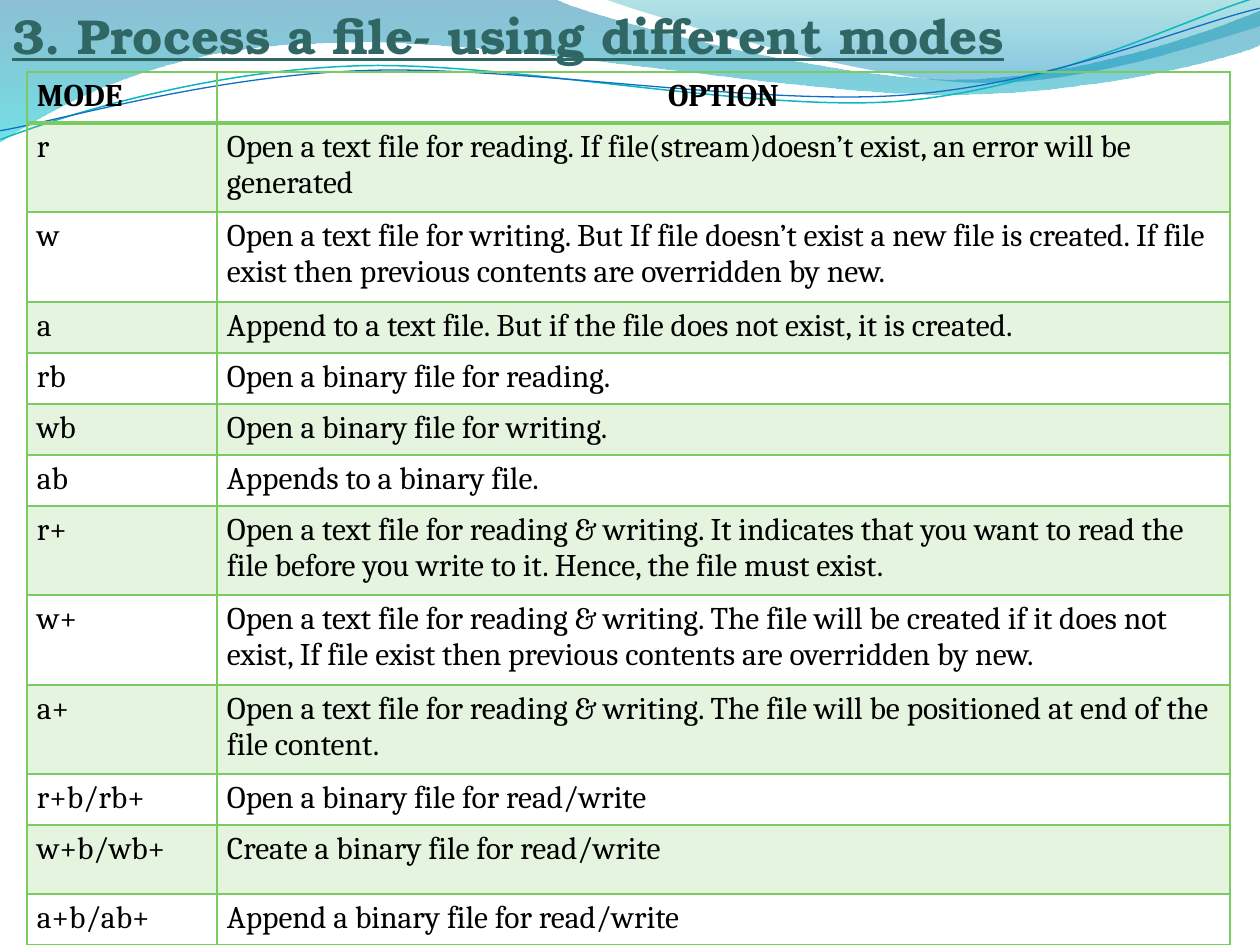
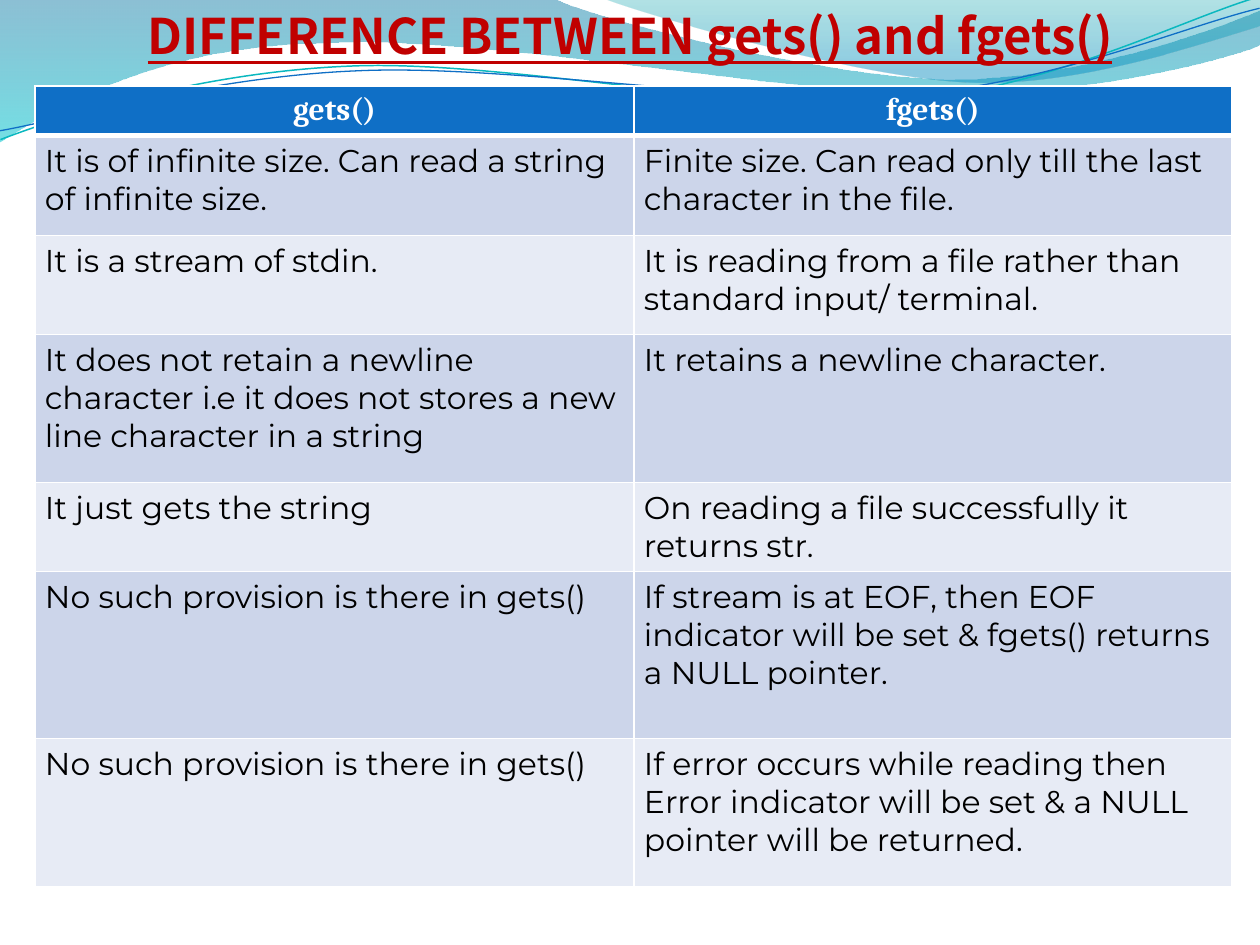
from pptx import Presentation
from pptx.dml.color import RGBColor
from pptx.enum.text import MSO_ANCHOR as Anchor, PP_ALIGN as Align
from pptx.oxml.ns import qn
from pptx.oxml.xmlchemy import OxmlElement as new_element
from pptx.util import Pt

EMU_PER_PX = 914400 / 126
SLIDE_WIDTH, SLIDE_HEIGHT = 1260, 945
BLACK, WHITE = "000000", "FFFFFF"
BLUE, GREEN, RED, TEAL = "0F6FC6", "7CCA62", "C00000", "306663"
BAND_COLORS = ("CCD5EA", "E7EBF5")

# A path is a start point, then one point per straight line or three per curve.
BANDS = [
    ([[(0, 0)], [(554, -1)],
      [(600, 21), (837, 79), (955, 79)], [(1075, 79), (1207, 33), (1260, 11)],
      [(1261, 45)],
      [(1240, 55), (1096, 96), (940, 94)], [(784, 94), (481, 35), (324, 43)],
      [(163, 45), (58, 105), (-1, 142)], [(0, 0)]],
     [(0, "0074A1", 45), (1, "00C6CF", 55)]),
    ([[(604, -1)],
      [(641, 14), (859, 78), (969, 82)], [(1079, 87), (1212, 40), (1260, 26)],
      [(1260, 0)], [(604, -1)]],
     [(0, "00A1A9", 30), (0.8, "008BBF", 45)]),
]
WAVE_ROTATION = 357.3
WAVE_LINES = [
    ([[(-2, 110)], [(58, 90), (199, 52), (350, 53)],
      [(499, 53), (745, 118), (896, 114)], [(1049, 109), (1185, 45), (1260, 27)]],
     "0AB8BF", 0.85),
    ([[(-2, 101)], [(57, 94), (207, 57), (357, 58)],
      [(509, 58), (750, 112), (902, 108)], [(1052, 104), (1187, 52), (1262, 38)]],
     BLUE, 0.75),
]

SHORT, TALL = 51, 89
MODES = [
    ("MODE", "OPTION", SHORT),
    ("r", "Open a text file for reading. If file(stream)doesn’t exist, an error will be generated", TALL),
    ("w", "Open a text file for writing. But If file doesn’t exist a new file is created. "
          "If file exist then previous contents are overridden by new.", TALL + 1),
    ("a", "Append to a text file. But if the file does not exist, it is created.", SHORT),
    ("rb", "Open a binary file for reading.", SHORT),
    ("wb", "Open a binary file for writing.", SHORT),
    ("ab", "Appends to a binary file.", SHORT),
    ("r+", "Open a text file for reading & writing. It indicates that you want to read the "
           "file before you write to it. Hence, the file must exist.", TALL),
    ("w+", "Open a text file for reading & writing. The file will be created if it does not "
           "exist, If file exist then previous contents are overridden by new.", TALL + 1),
    ("a+", "Open a text file for reading & writing. The file will be positioned at end of the "
           "file content.", TALL),
    ("r+b/rb+", "Open a binary file for read/write", SHORT),
    ("w+b/wb+", "Create a binary file for read/write", 69),
    ("a+b/ab+", "Append a binary file for read/write", SHORT),
]
NO_PROVISION = "No such provision is there in gets()"
DIFFERENCES = [
    ("gets()", "fgets()", 48),
    ("It is of infinite size. Can read a string of infinite size.",
     "Finite size. Can read only till the last character in the file.", 100),
    ("It is a stream of stdin.",
     "It is reading from a file rather than standard input/ terminal.", 99),
    ("It does not retain a newline character i.e it does not stores a new line character in a string",
     "It retains a newline character.", 148),
    ("It just gets the string", "On reading a file successfully it returns str.", 89),
    (NO_PROVISION,
     "If stream is at EOF, then EOF indicator will be set & fgets() returns a NULL pointer.", 167),
    (NO_PROVISION,
     "If error occurs while reading then Error indicator will be set & a NULL pointer will be returned.", 148),
]


def px(length):
    return round(length * EMU_PER_PX)


def rgb(color):
    return RGBColor.from_string(color)


def set_opacity(color_element, percent):
    alpha = new_element("a:alpha")
    alpha.set("val", str(percent * 1000))
    color_element.append(alpha)


def write_text(frame, text, font, size=18, color=BLACK, bold=False, underline=False, align=Align.LEFT):
    paragraph = frame.paragraphs[0]
    paragraph.alignment = align
    run = paragraph.add_run()
    run.text = text
    run.font.name, run.font.size = font, Pt(size)
    run.font.bold, run.font.underline = bold, underline
    run.font.color.rgb = rgb(color)


def add_outline(slide, path, close):
    """Draw the path as a freeform, joining each three-point segment into one cubic curve."""
    points = [(px(x), px(y)) for segment in path for x, y in segment]
    builder = slide.shapes.build_freeform(*points[0])
    builder.add_line_segments(points[1:], close=close)
    shape = builder.convert_to_shape()
    shape.shadow.inherit = False
    lines = iter(list(shape._element.spPr.iter(qn("a:lnTo"))))
    for segment in path[1:]:
        steps = [next(lines) for _ in segment]
        if len(steps) == 3:
            curve = new_element("a:cubicBezTo")
            steps[0].addprevious(curve)
            for step in steps:
                curve.append(step[0])
                step.getparent().remove(step)
    return shape


def add_waves(slide):
    for path, stops in BANDS:
        band = add_outline(slide, path, close=True)
        band.line.fill.background()
        band.fill.gradient()
        band.fill.gradient_angle = 270
        for stop, (position, color, _) in zip(band.fill.gradient_stops, stops):
            stop.position = position
            stop.color.rgb = rgb(color)
        for element, (_, _, opacity) in zip(band._element.spPr.iter(qn("a:srgbClr")), stops):
            set_opacity(element, opacity)
    for path, color, width in WAVE_LINES:
        wave = add_outline(slide, path, close=False)
        wave.rotation = WAVE_ROTATION
        wave.fill.background()
        wave.line.color.rgb = rgb(color)
        wave.line.width = Pt(width)


def add_title(slide, text, width, **text_format):
    box = slide.shapes.add_textbox(0, 0, px(width), px(SLIDE_HEIGHT))
    frame = box.text_frame
    frame.word_wrap = True
    frame.margin_top = frame.margin_bottom = px(6)
    frame.vertical_anchor = Anchor.TOP
    write_text(frame, text, size=28, bold=True, underline=True, **text_format)


def set_borders(cell, color, **widths):
    """Draw the four cell borders; widths maps L, R, T and B to points."""
    properties = cell._tc.get_or_add_tcPr()
    for side in "LRTB":
        line = new_element(f"a:ln{side}")
        line.set("w", str(Pt(widths.get(side, 1))))
        fill = new_element("a:solidFill")
        element = new_element("a:srgbClr")
        element.set("val", color)
        fill.append(element)
        line.append(fill)
        properties.append(line)


def fill_cell(cell, color, opacity=100):
    if color is None:
        cell.fill.background()
        return
    cell.fill.solid()
    cell.fill.fore_color.rgb = rgb(color)
    if opacity < 100:
        set_opacity(cell._tc.tcPr.find(qn("a:solidFill")).find(qn("a:srgbClr")), opacity)


def add_grid(slide, left, top, column_widths, rows, header_formats, body_font, header_fill,
             band_fills, border, header_rule, opacity=100):
    """Add a two-column table; each row ends with its height."""
    height = sum(row[-1] for row in rows)
    table = slide.shapes.add_table(len(rows), len(column_widths), px(left), px(top),
                                   px(sum(column_widths)), px(height)).table
    table.first_row = table.horz_banding = False
    for column, width in zip(table.columns, column_widths):
        column.width = px(width)
    for row_index, (*texts, row_height) in enumerate(rows):
        table.rows[row_index].height = px(row_height)
        for column_index, text in enumerate(texts):
            cell = table.cell(row_index, column_index)
            cell.margin_left = cell.margin_right = px(10)
            cell.margin_top = cell.margin_bottom = px(6)
            if row_index == 0:
                write_text(cell.text_frame, text, "Cambria", bold=True, **header_formats[column_index])
                set_borders(cell, border, B=header_rule)
                fill_cell(cell, header_fill)
            else:
                write_text(cell.text_frame, text, body_font)
                set_borders(cell, border, T=header_rule if row_index == 1 else 1)
                fill_cell(cell, band_fills[(row_index - 1) % 2], opacity)


def build_modes_slide(slide):
    add_waves(slide)
    add_title(slide, "3. Process a file- using different modes", 1250, font="TeX Gyre Bonum", color=TEAL)
    add_grid(slide, 27, 72, (190, 1013), MODES, ({}, {"align": Align.CENTER}), "Cambria",
             None, (GREEN, None), GREEN, 2, opacity=20)


def build_difference_slide(slide):
    add_waves(slide)
    add_title(slide, "DIFFERENCE BETWEEN gets() and fgets()", SLIDE_WIDTH, font="Noto Sans CJK KR",
              color=RED, align=Align.CENTER)
    header_format = {"color": WHITE, "align": Align.CENTER}
    add_grid(slide, 35, 86, (599, 598), DIFFERENCES, (header_format, header_format), "Montserrat",
             BLUE, BAND_COLORS, WHITE, 3)


def main():
    presentation = Presentation()
    presentation.slide_width, presentation.slide_height = px(SLIDE_WIDTH), px(SLIDE_HEIGHT)
    blank_layout = presentation.slide_layouts[6]
    for build in (build_modes_slide, build_difference_slide):
        build(presentation.slides.add_slide(blank_layout))
    presentation.save("out.pptx")


if __name__ == "__main__":
    main()
